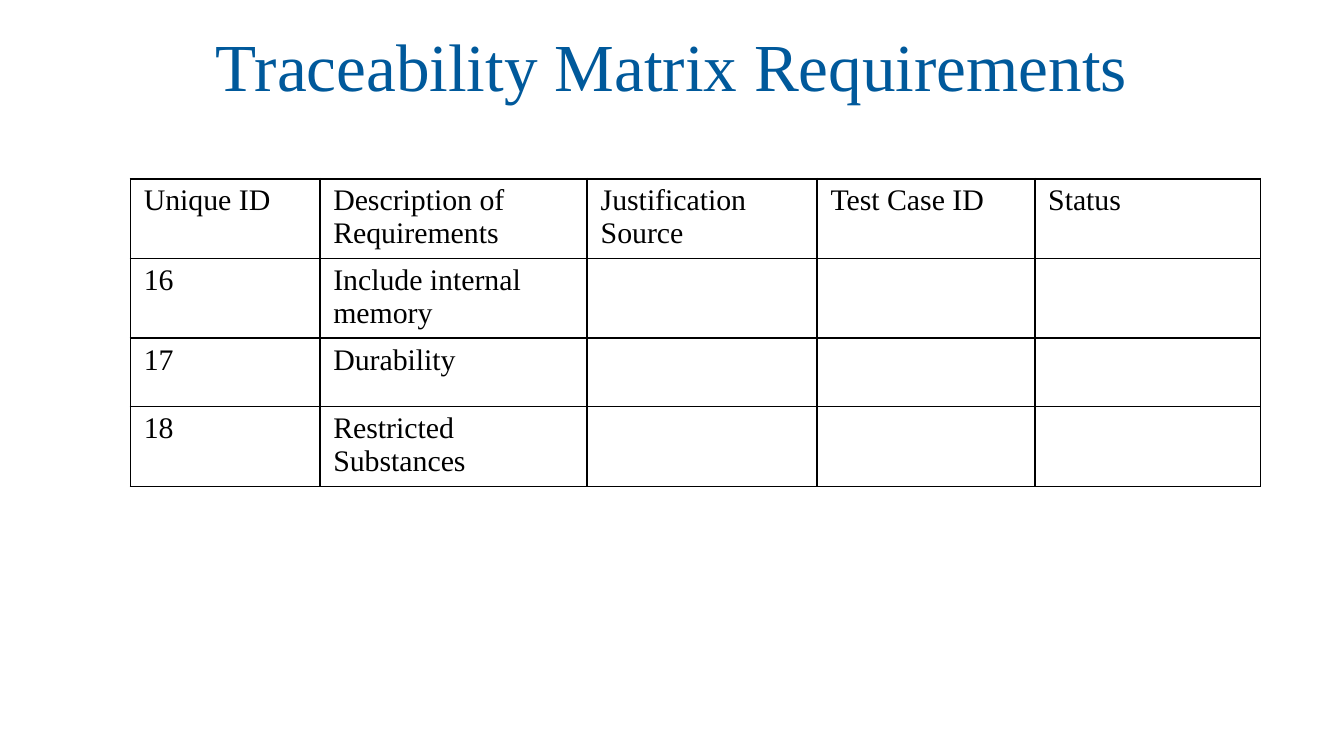
"""Build the traceability matrix slide."""
from dataclasses import dataclass

from lxml.etree import SubElement
from pptx import Presentation
from pptx.dml.color import RGBColor
from pptx.enum.text import PP_ALIGN
from pptx.oxml.ns import qn
from pptx.util import Inches, Pt

WIDE = 10
HIGH = WIDE * 9 / 16
FONT = "Times New Roman"
HUES = {"title": "00599B", "ink": "000000", "paper": "FFFFFF"}
ROW = 0.51
EDGES = ("a:lnL", "a:lnR", "a:lnT", "a:lnB")


@dataclass
class Column:
    head: str
    width: float
    items: tuple[str, ...] = ("", "", "")

    @property
    def cells(self) -> tuple[str, ...]:
        return (self.head, *self.items)


COLUMNS = (
    Column("Unique ID", 1.41, ("16", "17", "18")),
    Column("Description of Requirements", 1.99,
           ("Include internal memory", "Durability", "Restricted Substances")),
    Column("Justification Source", 1.71),
    Column("Test Case ID", 1.62),
    Column("Status", 1.68),
)


def style(para, size: float, hue: str) -> None:
    para.font.name = FONT
    para.font.size = Pt(size)
    para.font.color.rgb = RGBColor.from_string(HUES[hue])


def border(cell, hue: str, points: float) -> None:
    props = cell.fill._xPr
    for place, edge in enumerate(EDGES):
        line = SubElement(props, qn(edge), w=str(Pt(points)))
        fill = SubElement(line, qn("a:solidFill"))
        SubElement(fill, qn("a:srgbClr"), val=HUES[hue])
        props.insert(place, line)


def draw_title(slide, text: str) -> None:
    box = slide.shapes.add_textbox(
        Inches(0.05 * WIDE), Inches(0.13), Inches(0.9 * WIDE), Inches(0.37))
    box.text_frame.word_wrap = True
    para = box.text_frame.paragraphs[0]
    para.text = text
    para.alignment = PP_ALIGN.CENTER
    para.space_before = Pt(5)
    style(para, 36, "title")


def draw_matrix(slide, columns: tuple[Column, ...]) -> None:
    rows = len(columns[0].cells)
    width = sum(col.width for col in columns)
    table = slide.shapes.add_table(
        rows, len(columns), Inches(0.97), Inches(1.33),
        Inches(width), Inches(rows * ROW)).table
    table.first_row = table.horz_banding = False
    for row in table.rows:
        row.height = Inches(ROW)
    for x, col in enumerate(columns):
        table.columns[x].width = Inches(col.width)
        for y, text in enumerate(col.cells):
            cell = table.cell(y, x)
            cell.text = text
            cell.margin_top, cell.margin_bottom = Inches(0.04), Inches(0.02)
            style(cell.text_frame.paragraphs[0], 16, "ink")
            cell.fill.solid()
            cell.fill.fore_color.rgb = RGBColor.from_string(HUES["paper"])
            border(cell, "ink", 1)


def main() -> None:
    deck = Presentation()
    deck.slide_width, deck.slide_height = Inches(WIDE), Inches(HIGH)
    slide = deck.slides.add_slide(deck.slide_layouts[6])
    draw_title(slide, "Traceability Matrix Requirements")
    draw_matrix(slide, COLUMNS)
    deck.save("out.pptx")


if __name__ == "__main__":
    main()
